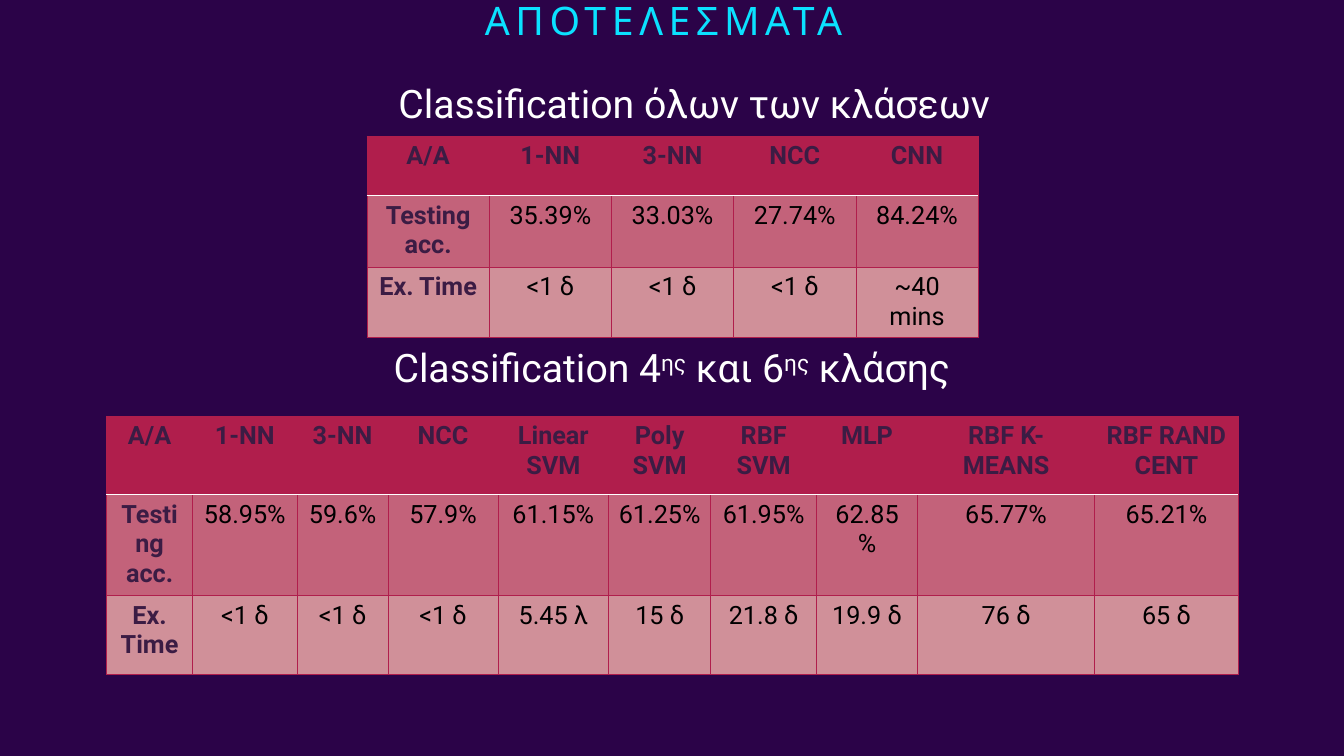
from dataclasses import dataclass
from typing import Any

from lxml.etree import SubElement
from pptx import Presentation
from pptx.dml.color import RGBColor
from pptx.enum.text import PP_ALIGN, MSO_ANCHOR
from pptx.oxml.ns import qn
from pptx.util import Cm, Pt

COLORS = {
    "back": "2B0348", "title": "0BE1FF", "white": "FFFFFF", "black": "000000",
    "plum": "3B1C44", "red": "B01E4C", "rose": "C3627A", "pink": "D09099",
}
FILLS = ("red", "rose", "pink")
FORMATS = {
    "title": {"name": "League Spartan", "size": Pt(28), "bold": False},
    "heading": {"name": "Roboto", "size": Pt(28), "bold": False},
    "label": {"name": "Roboto", "size": Pt(18), "bold": True},
    "value": {"name": "Roboto", "size": Pt(18), "bold": False},
}
INKS = {"title": "title", "heading": "white", "label": "plum", "value": "black"}


@dataclass
class Line:
    left: float
    top: float
    width: float
    height: float
    style: str
    texts: tuple[str, ...]
    inset: float = 0.13
    pitch: float = 1.0
    track: int = 0


@dataclass
class Grid:
    left: float
    top: float
    widths: list[float]
    heights: list[float]
    rows: list[list[str]]


LINES = [
    Line(0, 0, 33.45, 1.6, "title", ("ΑΠΟΤΕΛΕΣΜΑΤΑ",), 0.05, 0.9, 400),
    Line(7.29, 1.88, 20.4, 1.45, "heading", ("Classification όλων των κλάσεων",)),
    Line(6.73, 8.53, 20.4, 1.45, "heading",
         ("Classification 4", "ης", " και 6", "ης", " κλάσης")),
]
GRIDS = [
    Grid(9.25, 3.43, [3.08] * 5, [1.5, 1.8, 1.3], [
        ["A/A", "1-NN", "3-NN", "NCC", "CNN"],
        ["Testing acc.", "35.39%", "33.03%", "27.74%", "84.24%"],
        ["Ex. Time", "<1 δ", "<1 δ", "<1 δ", "~40 mins"],
    ]),
    Grid(2.69, 10.49,
         [2.16, 2.64, 2.29, 2.77, 2.79, 2.57, 2.67, 2.54, 4.47, 3.61],
         [1.98, 2.01, 1.98], [
             ["A/A", "1-NN", "3-NN", "NCC", "Linear SVM", "Poly SVM",
              "RBF SVM", "MLP", "RBF K-MEANS", "RBF RAND CENT"],
             ["Testing acc.", "58.95%", "59.6%", "57.9%", "61.15%", "61.25%",
              "61.95%", "62.85%", "65.77%", "65.21%"],
             ["Ex. Time", "<1 δ", "<1 δ", "<1 δ", "5.45 λ", "15 δ",
              "21.8 δ", "19.9 δ", "76 δ", "65 δ"],
         ]),
]


def color(name: str) -> RGBColor:
    return RGBColor.from_string(COLORS[name])


def add_run(para: Any, text: str, style: str) -> Any:
    run = para.add_run()
    run.text = text
    for key, value in FORMATS[style].items():
        setattr(run.font, key, value)
    run.font.color.rgb = color(INKS[style])
    return run


def draw_line(slide: Any, line: Line) -> None:
    box = slide.shapes.add_textbox(
        Cm(line.left), Cm(line.top), Cm(line.width), Cm(line.height))
    frame = box.text_frame
    form = {"word_wrap": True, "vertical_anchor": MSO_ANCHOR.TOP,
            "margin_top": Cm(line.inset), "margin_bottom": Cm(line.inset)}
    for key, value in form.items():
        setattr(frame, key, value)
    para = frame.paragraphs[0]
    para.alignment = PP_ALIGN.CENTER
    para.line_spacing = line.pitch
    for index, text in enumerate(line.texts):
        props = add_run(para, text, line.style)._r.get_or_add_rPr()
        if line.track:
            props.set("spc", str(line.track))
        if index % 2:
            props.set("baseline", "30000")


def add_edge(cell: Any, side: str, ink: str, width: float) -> None:
    props = cell._tc.get_or_add_tcPr()
    edge = SubElement(props, qn(f"a:ln{side}"), w=str(int(Pt(width))))
    fill = SubElement(edge, qn("a:solidFill"))
    SubElement(fill, qn("a:srgbClr"), val=COLORS[ink])


def draw_grid(slide: Any, grid: Grid) -> None:
    table = slide.shapes.add_table(
        len(grid.rows), len(grid.widths), Cm(grid.left), Cm(grid.top),
        Cm(sum(grid.widths)), Cm(sum(grid.heights))).table
    for key, value in {"first_row": False, "horz_banding": False}.items():
        setattr(table, key, value)
    for column, width in zip(table.columns, grid.widths):
        column.width = Cm(width)
    for row, height in zip(table.rows, grid.heights):
        row.height = Cm(height)
    for r, texts in enumerate(grid.rows):
        for c, text in enumerate(texts):
            cell = table.cell(r, c)
            para = cell.text_frame.paragraphs[0]
            para.alignment = PP_ALIGN.CENTER
            add_run(para, text, "value" if r and c else "label")
            for side in "LRTB":
                rule = (r, side) in ((0, "B"), (1, "T"))
                add_edge(cell, side, *(("white", 1) if rule else ("red", 0.5)))
            cell.fill.solid()
            cell.fill.fore_color.rgb = color(FILLS[r])


def main() -> None:
    deck = Presentation()
    deck.slide_width, deck.slide_height = Cm(33.87), Cm(19.05)
    slide = deck.slides.add_slide(deck.slide_layouts[6])
    slide.background.fill.solid()
    slide.background.fill.fore_color.rgb = color("back")
    for line in LINES:
        draw_line(slide, line)
    for grid in GRIDS:
        draw_grid(slide, grid)
    deck.save("out.pptx")


if __name__ == "__main__":
    main()
